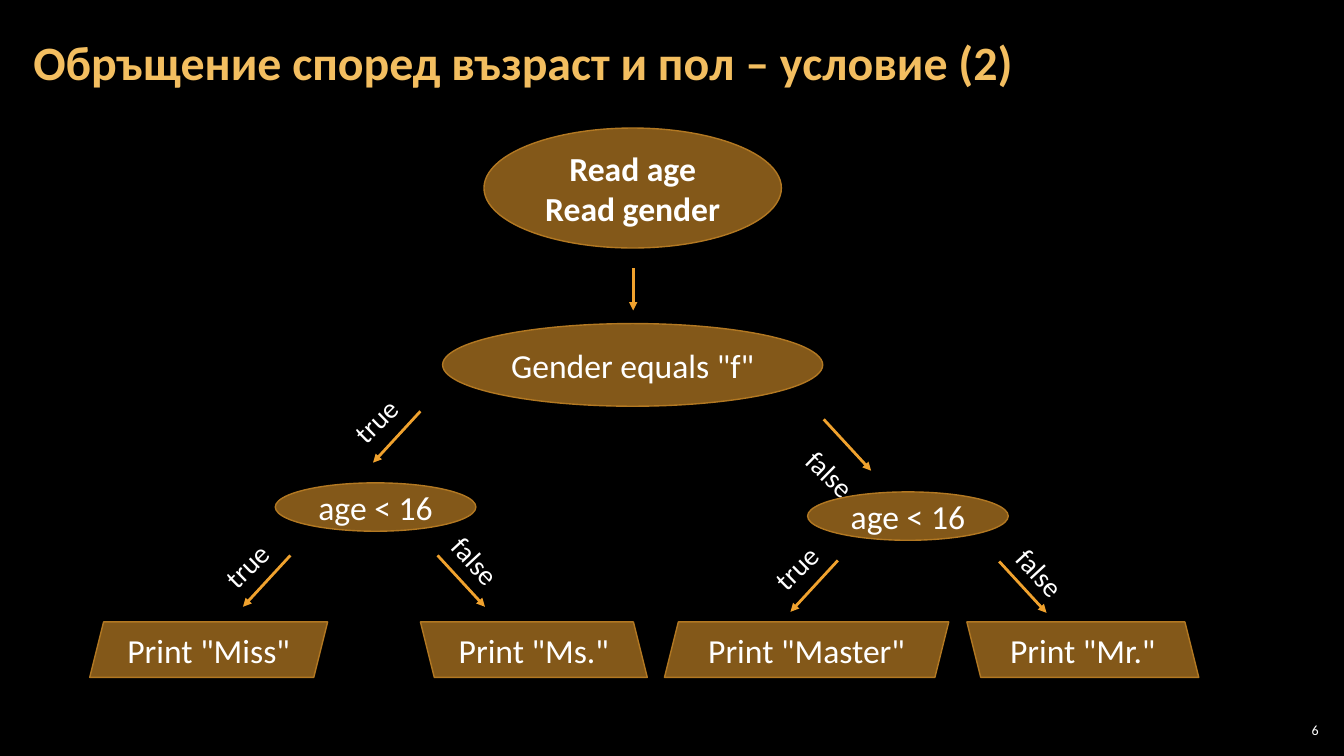
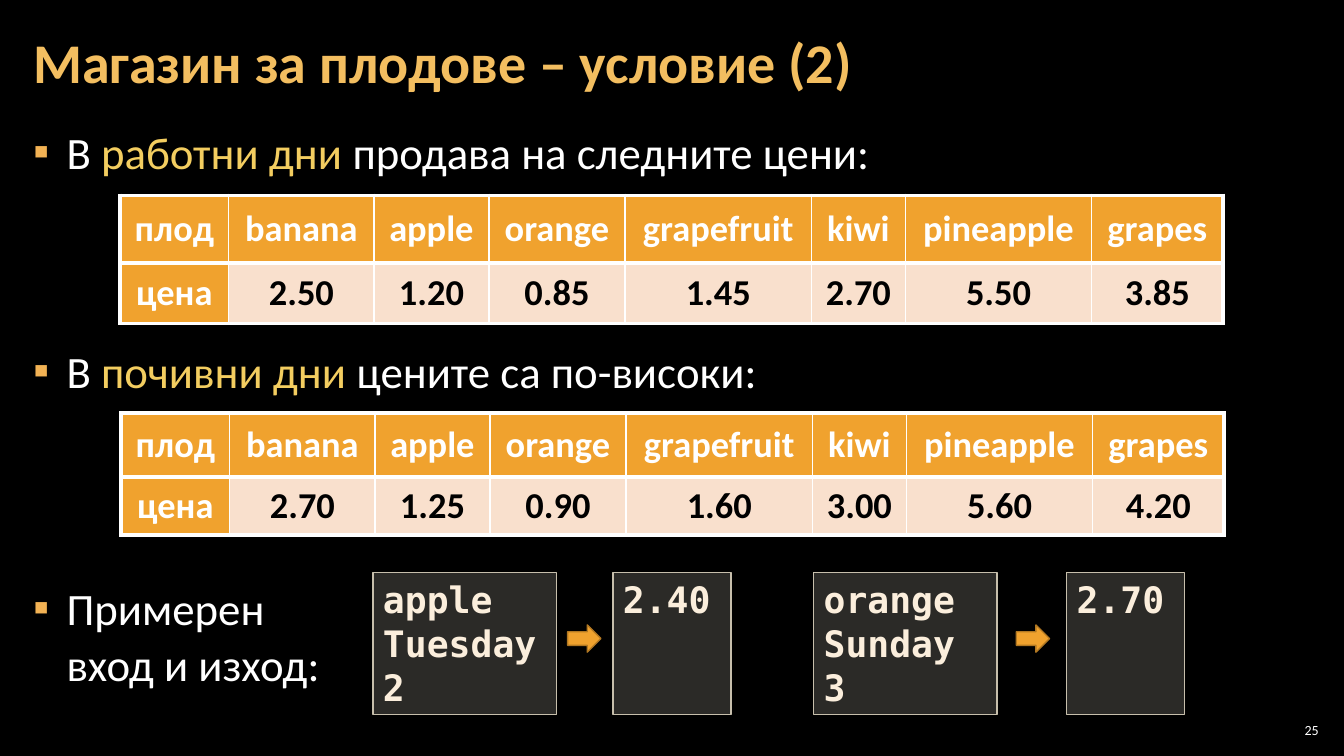
from pptx import Presentation
from pptx.dml.color import RGBColor
from pptx.enum.shapes import MSO_CONNECTOR as Link, MSO_SHAPE as Shape
from pptx.enum.text import MSO_ANCHOR as Anchor, MSO_AUTO_SIZE as AutoSize, PP_ALIGN as Align
from pptx.oxml import parse_xml
from pptx.oxml.ns import nsdecls, qn
from pptx.util import Inches, Pt

COLORS = {
    "black": "000000", "white": "FFFFFF", "title": "F3BE60", "accent": "F0A22E",
    "outline": "B27822", "highlight": "F3CD60", "bullet": "F2B254", "price": "F9E0CD",
    "panel": "D9D5C7", "panel_line": "C7BFAC", "code": "FBEEDC",
}
TITLE_ONLY, TITLE_AND_BODY = 5, 1


def rgb(name):
    return RGBColor.from_string(COLORS[name])


def drawing_xml(tag, inner="", attributes=""):
    return parse_xml(f'<a:{tag} {nsdecls("a")} {attributes}>{inner}</a:{tag}>')


def write(paragraph, text, size=24, color="white", bold=False, font="Calibri", align=None):
    """Add one formatted run; a newline in the text becomes a line break."""
    paragraph.alignment = align
    for i, line in enumerate(text.split("\n")):
        if i:
            paragraph.add_line_break()
        run = paragraph.add_run()
        run.text = line
        run.font.size, run.font.bold, run.font.name = Pt(size), bold, font
        run.font.color.rgb = rgb(color)


class Deck:
    def __init__(self):
        self.prs = Presentation()
        self.prs.slide_width, self.prs.slide_height = Inches(13.33), Inches(7.5)
        background = self.prs.slide_master.background.fill
        background.solid()
        background.fore_color.rgb = rgb("black")
        self.slide = None

    @staticmethod
    def box(*lengths):
        return [Inches(length) for length in lengths]

    def frame(self, shape, margins=None, anchor=Anchor.TOP, wrap=True):
        text = shape.text_frame
        text.word_wrap, text.auto_size, text.vertical_anchor = wrap, AutoSize.NONE, anchor
        if margins:
            side, top = self.box(*margins)
            text.margin_left = text.margin_right = side
            text.margin_top = text.margin_bottom = top
        return text

    def place(self, shape, *box):
        shape.left, shape.top, shape.width, shape.height = self.box(*box)

    def new_slide(self, title, number, layout, title_size):
        self.slide = self.prs.slides.add_slide(self.prs.slide_layouts[layout])
        heading = self.slide.shapes.title
        self.place(heading, 0.21, 0.04, 10.47, 1.21)
        line = self.frame(heading, (0.12, 0.04), Anchor.MIDDLE).paragraphs[0]
        line.line_spacing = 0.9
        write(line, title, size=title_size, color="title", bold=True, align=Align.LEFT)
        page = self.slide.shapes.add_textbox(*self.box(12.65, 7.14, 0.47, 0.21))
        write(self.frame(page, (0.04, 0.04), Anchor.MIDDLE).paragraphs[0], str(number),
              size=10, align=Align.RIGHT)

    def bullets(self, items):
        """Each item is (space before in points, [(text, color), ...])."""
        body = self.slide.placeholders[1]
        self.place(body, 0.21, 1.17, 12.91, 6.09)
        text = self.frame(body, (0.12, 0.04))
        for i, (space_before, parts) in enumerate(items):
            item = text.add_paragraph() if i else text.paragraphs[0]
            for part, color in parts:
                write(item, part, size=32, color=color, align=Align.LEFT)
            item.line_spacing = 1.05
            item.space_before, item.space_after = Pt(space_before), Pt(6)
            props = item._p.get_or_add_pPr()
            props.set("marL", str(Inches(0.33)))
            props.set("indent", str(-Inches(0.33)))
            props.append(drawing_xml("buClr", f'<a:srgbClr val="{COLORS["bullet"]}"/>'))
            props.append(drawing_xml("buFont", attributes='typeface="Calibri"'))
            props.append(drawing_xml("buChar", attributes='char="▪"'))

    def shape(self, kind, box, fill="accent", line="outline", opacity=None, flip=False):
        shape = self.slide.shapes.add_shape(kind, *self.box(*box))
        shape.shadow.inherit = False
        shape.fill.solid()
        shape.fill.fore_color.rgb = rgb(fill)
        shape.line.color.rgb, shape.line.width = rgb(line), Pt(1)
        props = shape._element.spPr
        if opacity is not None:
            color = props.find(qn("a:solidFill")).find(qn("a:srgbClr"))
            color.append(drawing_xml("alpha", attributes=f'val="{opacity * 1000}"'))
        if flip:
            props.find(qn("a:xfrm")).set("flipH", "1")
        return shape

    def step(self, kind, text, box, bold=False, flip=False):
        shape = self.shape(kind, box, opacity=55, flip=flip)
        frame = self.frame(shape, anchor=Anchor.MIDDLE)
        for i, line in enumerate(text.split("\n")):
            paragraph = frame.add_paragraph() if i else frame.paragraphs[0]
            write(paragraph, line, bold=bold, align=Align.CENTER)

    def label(self, text, left, top, angle):
        width = 0.68 if text == "true" else 0.74
        label = self.slide.shapes.add_textbox(*self.box(left, top, width, 0.44))
        label.rotation = angle
        write(self.frame(label, wrap=False).paragraphs[0], text, size=20)

    def arrow(self, *ends):
        arrow = self.slide.shapes.add_connector(Link.STRAIGHT, *self.box(*ends))
        arrow.line.color.rgb, arrow.line.width = rgb("accent"), Pt(2)
        arrow.line._get_or_add_ln().append(drawing_xml("tailEnd", attributes='type="triangle"'))
        arrow._element.spPr.append(drawing_xml("effectLst"))

    def table(self, left, top, widths, heights, rows):
        grid = self.slide.shapes.add_table(
            len(rows), len(widths), *self.box(left, top, sum(widths), sum(heights))).table
        for column, width in zip(grid.columns, widths):
            column.width = Inches(width)
        for r, (height, values) in enumerate(zip(heights, rows)):
            grid.rows[r].height = Inches(height)
            for c, value in enumerate(values):
                cell = grid.cell(r, c)
                heading = r == 0 or c == 0
                cell.fill.solid()
                cell.fill.fore_color.rgb = rgb("accent" if heading else "price")
                cell.vertical_anchor = Anchor.MIDDLE
                cell.margin_left = cell.margin_right = Inches(0.07)
                cell.margin_top = cell.margin_bottom = 0
                write(cell.text_frame.paragraphs[0], value, size=26, bold=True,
                      color="white" if heading else "black", align=Align.CENTER)
                self.borders(cell, c == 0, c == len(widths) - 1)

    @staticmethod
    def borders(cell, first, last):
        """Thick outer and horizontal rules, thin rules between columns."""
        points = {"lnL": 3 if first else 1, "lnR": 3 if last else 1, "lnT": 3, "lnB": 3}
        fill = f'<a:solidFill><a:srgbClr val="{COLORS["white"]}"/></a:solidFill>'
        for i, (side, width) in enumerate(points.items()):
            cell._tc.get_or_add_tcPr().insert(i, drawing_xml(side, fill, f'w="{Pt(width)}"'))

    def console(self, text, *box):
        panel = self.shape(Shape.RECTANGLE, box, "panel", "panel_line", opacity=20)
        frame = self.frame(panel)
        for i, line in enumerate(text.split("\n")):
            paragraph = frame.add_paragraph() if i else frame.paragraphs[0]
            write(paragraph, line, size=26, color="code", bold=True,
                  font="DejaVu Sans Mono", align=Align.LEFT)


def flowchart_slide(deck):
    deck.new_slide("Обръщение според възраст и пол – условие (2)", 6, TITLE_ONLY, 34.2)

    # Branch labels, behind the steps
    rising, falling = 315.6, 47.2
    for left, top in ((3.39, 3.95), (2.11, 5.39), (7.56, 5.41)):
        deck.label("true", left, top, rising)
    for left, top, angle in ((7.87, 4.49, 44.4), (4.35, 5.35, falling), (9.95, 5.47, falling)):
        deck.label("false", left, top, angle)

    # Input and conditions
    deck.step(Shape.OVAL, "Read age\nRead gender", (4.8, 1.27, 2.95, 1.19), bold=True)
    deck.step(Shape.OVAL, 'Gender equals "f"', (4.39, 3.21, 3.77, 0.82))
    for left, top in ((2.73, 4.79), (8.01, 4.88)):
        deck.step(Shape.OVAL, "age < 16", (left, top, 1.99, 0.48))

    # Outputs
    for form, left, width, flip in (("Miss", 0.89, 2.36, False), ("Ms.", 4.17, 2.25, True),
                                    ("Master", 6.59, 2.82, False), ("Mr.", 9.59, 2.3, True)):
        deck.step(Shape.PARALLELOGRAM, f'Print "{form}"', (left, 6.17, width, 0.55), flip=flip)

    # Arrows: straight down, then the branches to either side
    deck.arrow(6.28, 2.66, 6.28, 3.08)
    for x, y, run in ((4.17, 4.08, -0.47), (8.17, 4.16, 0.47), (2.88, 5.51, -0.47),
                      (4.34, 5.51, 0.47), (8.31, 5.56, -0.47), (9.91, 5.57, 0.47)):
        deck.arrow(x, y, x + run, y + 0.51)


def fruit_shop_slide(deck):
    deck.new_slide("Магазин за плодове – условие (2)", 25, TITLE_AND_BODY, 40)
    deck.bullets([
        (6, [("В ", "white"), ("работни дни ", "highlight"),
             ("продава на следните цени:", "white")]),
        (110, [("В ", "white"), ("почивни дни ", "highlight"),
               ("цените са по-високи:", "white")]),
        (123, [("Примерен\nвход и изход:", "white")]),
    ])

    # Price tables
    fruits = ["плод", "banana", "apple", "orange", "grapefruit", "kiwi", "pineapple", "grapes"]
    widths = [1.08, 1.44, 1.14, 1.35, 1.85, 0.93, 1.85, 1.3]
    weekday = ["цена", "2.50", "1.20", "0.85", "1.45", "2.70", "5.50", "3.85"]
    weekend = ["цена", "2.70", "1.25", "0.90", "1.60", "3.00", "5.60", "4.20"]
    deck.table(1.19, 1.94, widths, [0.67, 0.6], [fruits, weekday])
    deck.table(1.2, 4.1, widths, [0.63, 0.58], [fruits, weekend])

    # Sample input and output
    for order, order_left, arrow_left, total, total_left in (
            ("apple\nTuesday\n2", 3.7, 5.63, "2.40", 6.08),
            ("orange\nSunday\n3", 8.07, 10.08, "2.70", 10.58)):
        deck.console(order, order_left, 5.68, 1.82, 1.41)
        deck.console(total, total_left, 5.68, 1.17, 1.41)
        deck.shape(Shape.RIGHT_ARROW, (arrow_left, 6.2, 0.33, 0.27))


def main():
    deck = Deck()
    flowchart_slide(deck)
    fruit_shop_slide(deck)
    deck.prs.save("out.pptx")


if __name__ == "__main__":
    main()
